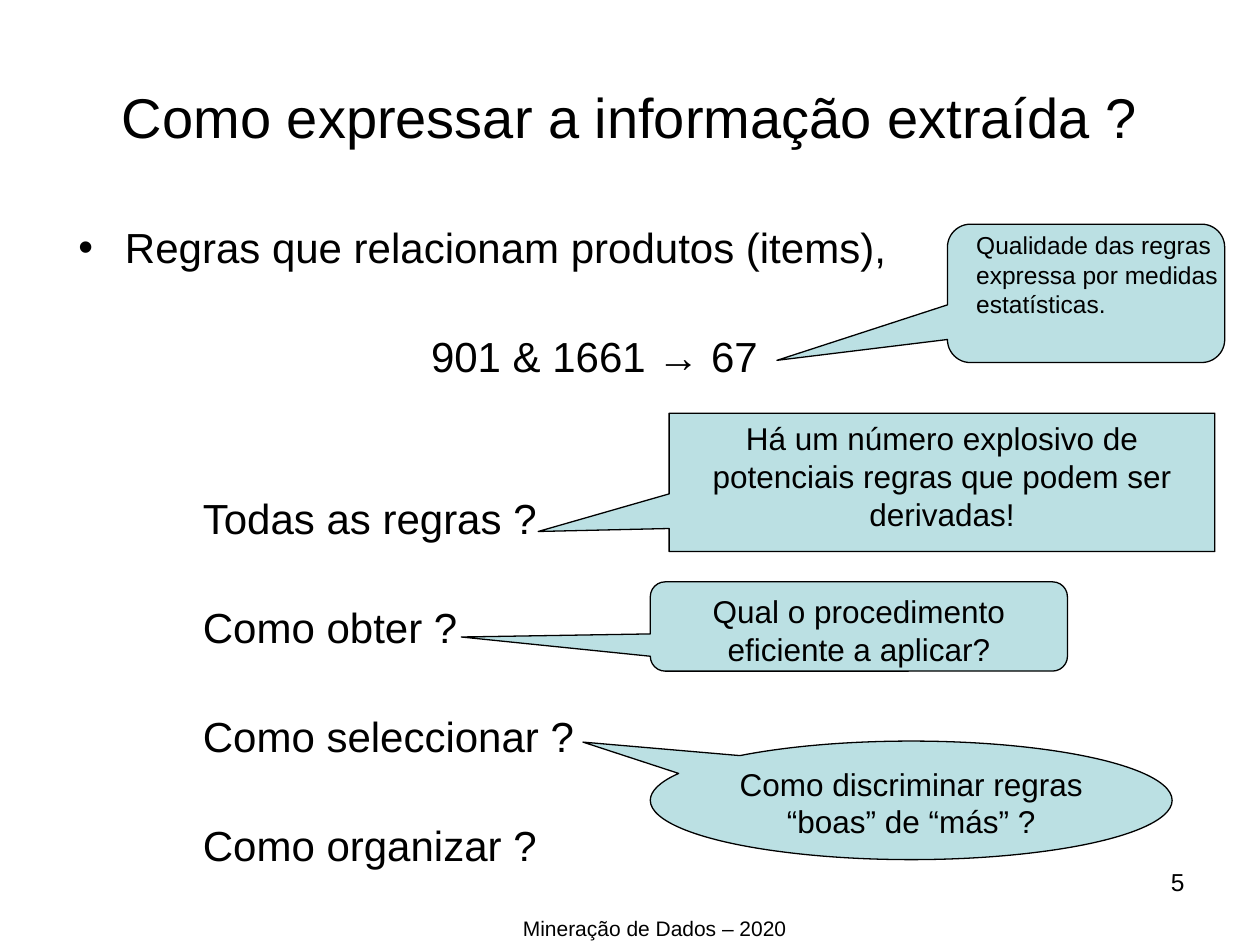
from lxml import etree
from pptx import Presentation
from pptx.dml.color import RGBColor
from pptx.enum import shapes, text
from pptx.oxml import ns
from pptx.util import Cm, Pt

COLORS = {"ink": "000000", "callout": "BBE0E3"}
FONT = "Arial"
LEFT, CENTER, RIGHT = text.PP_ALIGN.LEFT, text.PP_ALIGN.CENTER, text.PP_ALIGN.RIGHT
SHAPE = shapes.MSO_SHAPE

LABELS = [
    ("Como expressar a informação extraída ?", (1.27, 0.76, 22.86, 3.18), 32, CENTER, text.MSO_ANCHOR.MIDDLE),
    ("5", (18.21, 17.35, 5.92, 1.32), 14, RIGHT, text.MSO_ANCHOR.TOP),
    ("Mineração de Dados – 2020", (6.1, 18.34, 14.2, 0.58), 12, CENTER, text.MSO_ANCHOR.TOP),
]

BODY_BOX = (1.3, 4.45, 23.39, 13.69)
BODY_SIZE, LINE_HEIGHT, LINE_PITCH = 24, 24.8, 30.6
BODY = [
    ("Regras que relacionam produtos (items),", 0.97, 0),
    ("901 & 1661 → 67", 7.14, 2),
    ("Todas as regras ?", 2.54, 3),
    ("Como obter ?", 2.54, 2),
    ("Como seleccionar ?", 2.54, 2),
    ("Como organizar ?", 2.54, 2),
]
BULLET_HANG = 0.94

CALLOUTS = [
    ("Há um número explosivo de potenciais regras que podem ser derivadas!",
     SHAPE.RECTANGULAR_CALLOUT, (13.49, 8.33, 11, 2.79), (-0.74, 0.355)),
    ("Qual o procedimento eficiente a aplicar?",
     SHAPE.ROUNDED_RECTANGULAR_CALLOUT, (13.11, 11.73, 8.41, 1.8), (-0.953, 0.118)),
    ("Como discriminar regras “boas” de “más” ?",
     SHAPE.OVAL_CALLOUT, (13.11, 14.94, 10.52, 2.39), (-0.629, -0.491)),
    ("", SHAPE.ROUNDED_RECTANGULAR_CALLOUT, (19.1, 4.52, 5.59, 2.79), (-1.115, 0.484)),
]
QUALITY = ["Qualidade das regras", "expressa por medidas", "estatísticas."]
QUALITY_BOX = (19.43, 4.52, 5.38, 2.03)


def color(name):
    return RGBColor.from_string(COLORS[name])


def add_run(p, content, size):
    r = p.add_run()
    r.text = content
    r.font.name, r.font.size = FONT, Pt(size)
    r.font.color.rgb = color("ink")


def add_box(s, box, wrap=True):
    tf = s.shapes.add_textbox(*map(Cm, box)).text_frame
    tf.word_wrap = wrap
    return tf


def next_paragraph(tf, i):
    return tf.add_paragraph() if i else tf.paragraphs[0]


def add_body(s):
    tf = add_box(s, BODY_BOX)
    for i, (content, indent, lines) in enumerate(BODY):
        p = next_paragraph(tf, i)
        pPr = p._p.get_or_add_pPr()
        pPr.set("marL", str(Cm(indent)))
        pPr.set("indent", str(0 if i else -Cm(BULLET_HANG)))
        if i == 0:
            etree.SubElement(pPr, ns.qn("a:buFont"), typeface=FONT)
            etree.SubElement(pPr, ns.qn("a:buChar"), char="•")
        p.line_spacing = 0.9
        if lines:
            p.space_before = Pt(round(lines * LINE_PITCH - LINE_HEIGHT, 1))
        add_run(p, content, BODY_SIZE)


def add_callout(s, content, kind, box, tip):
    sp = s.shapes.add_shape(kind, *map(Cm, box))
    sp.adjustments[0], sp.adjustments[1] = tip
    sp.shadow.inherit = False
    sp.fill.solid()
    sp.fill.fore_color.rgb = color("callout")
    sp.line.color.rgb = color("ink")
    sp.line.width = Pt(0.75)
    if content:
        tf = sp.text_frame
        tf.word_wrap = True
        tf.vertical_anchor = text.MSO_ANCHOR.TOP
        p = tf.paragraphs[0]
        p.alignment = CENTER
        add_run(p, content, 18)


def main():
    prs = Presentation()
    prs.slide_width, prs.slide_height = Cm(25.4), Cm(19.05)
    s = prs.slides.add_slide(prs.slide_layouts[6])
    for content, box, size, align, anchor in LABELS:
        tf = add_box(s, box)
        tf.vertical_anchor = anchor
        p = tf.paragraphs[0]
        p.alignment = align
        add_run(p, content, size)
    add_body(s)
    for callout in CALLOUTS:
        add_callout(s, *callout)
    tf = add_box(s, QUALITY_BOX, wrap=False)
    for i, line in enumerate(QUALITY):
        p = next_paragraph(tf, i)
        p.alignment = LEFT
        add_run(p, line, 14)
    prs.save("out.pptx")


if __name__ == "__main__":
    main()
